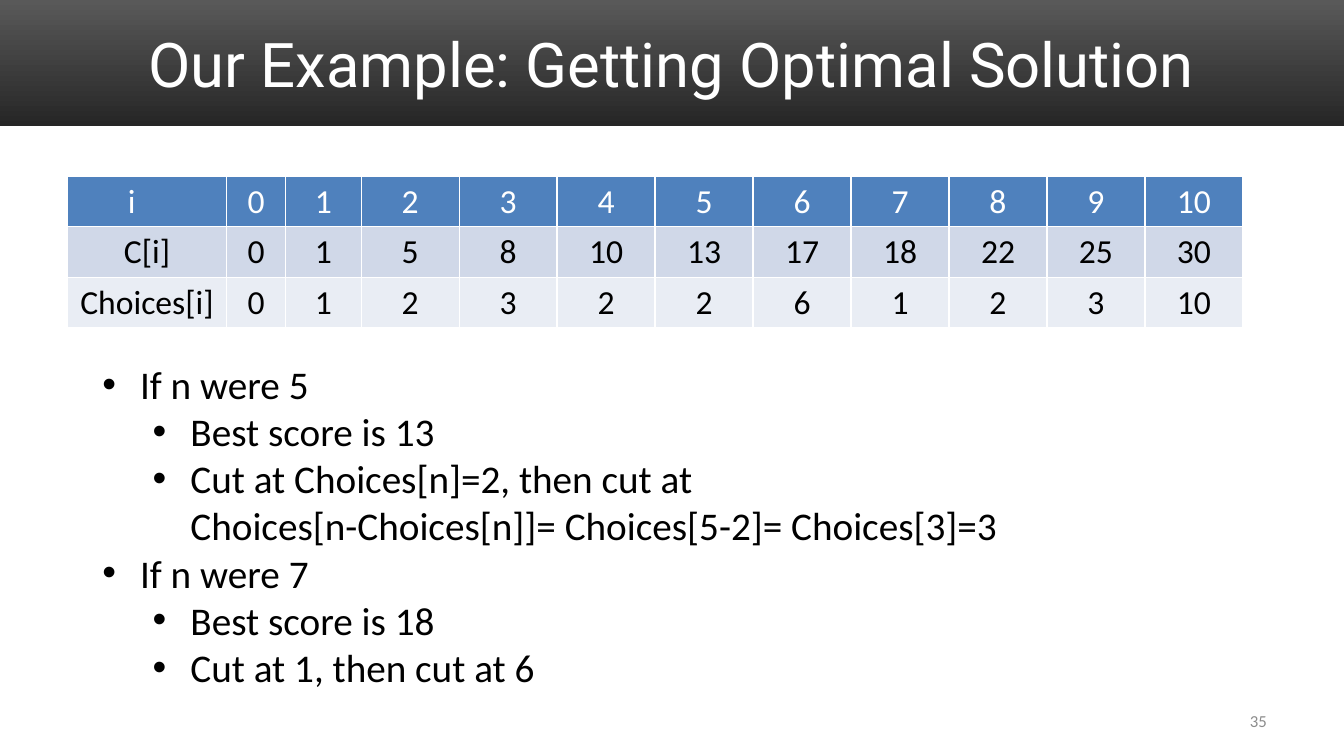
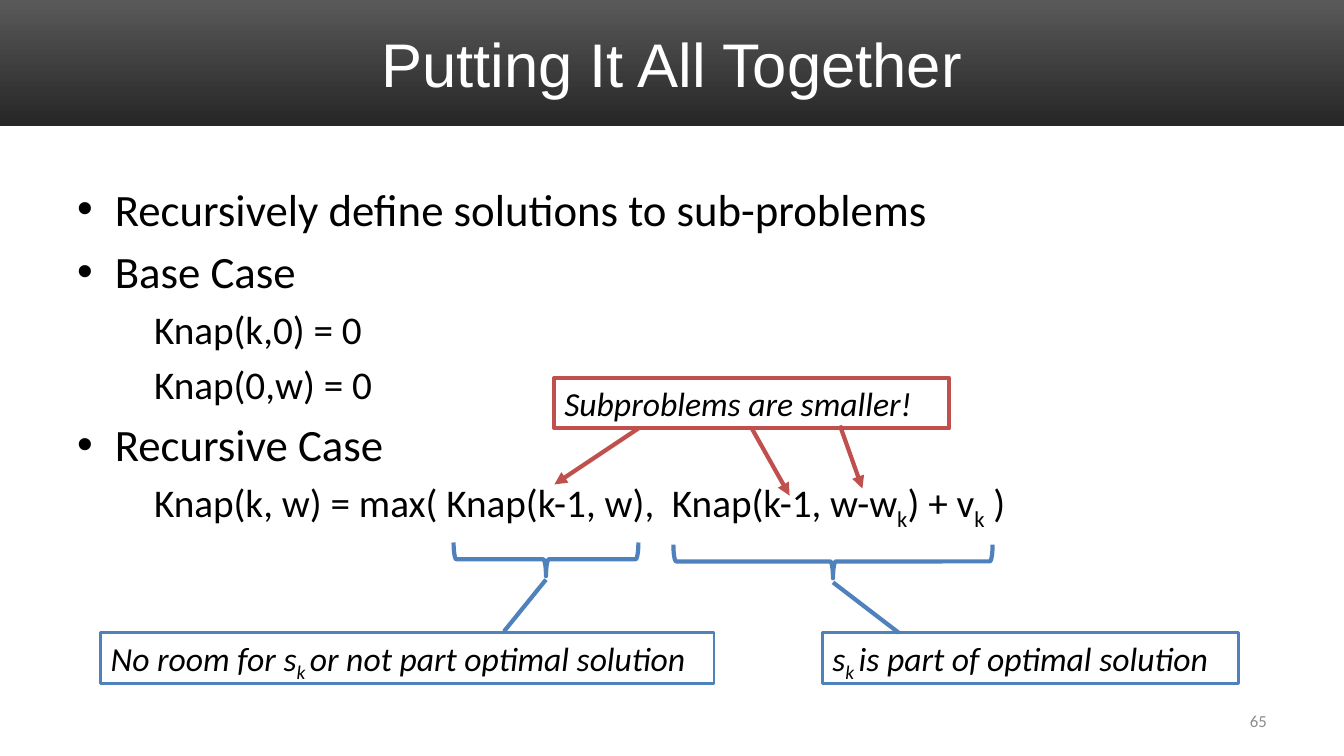
"""Build two lecture slides on dynamic programming."""
from dataclasses import dataclass

from lxml.etree import SubElement
from pptx import Presentation
from pptx.dml.color import RGBColor as Color
from pptx.enum.shapes import MSO_CONNECTOR as Connector, MSO_SHAPE as Shape
from pptx.enum.text import MSO_ANCHOR as Anchor, PP_ALIGN as Align
from pptx.oxml.ns import qn
from pptx.util import Pt


@dataclass(frozen=True)
class Level:
    size: float
    left: float
    hanging: float = 0
    gap: float = 0


@dataclass(frozen=True)
class Theme:
    font: str = "Calibri"
    bullet_font: str = "Arial"
    title_size: float = 44
    label_size: float = 24
    number_size: float = 12
    black: str = "000000"
    white: str = "FFFFFF"
    grey: str = "8C8C8C"
    blue: str = "4F81BD"
    red: str = "C0504D"
    band: tuple = ("595959", "262626")
    rows: tuple = ("4F81BD", "D0D8E8", "E9EDF4")
    outline: tuple = (Level(28, 27, 27), Level(28, 63, 27))
    body: tuple = (Level(32, 27, 27, 6.4), Level(28, 55, 0, 5.6))


def points(*lengths):
    return [Pt(length) for length in lengths]


class Slides:
    def __init__(self, theme):
        self.theme = theme
        self.deck = Presentation()
        self.deck.slide_width, self.deck.slide_height = points(960, 540)
        self.page = None

    def start(self, title, number, title_font):
        theme = self.theme
        self.page = self.deck.slides.add_slide(self.deck.slide_layouts[6])
        band = self.shape(Shape.RECTANGLE, (0, 0, 960, 90))
        band.fill.gradient()
        band.fill.gradient_angle = 270
        for stop, color in zip(band.fill.gradient_stops, theme.band):
            stop.color.rgb = Color.from_string(color)
        self.label(title, (48, 12, 864, 66), theme.title_size, theme.white, Align.CENTER, title_font)
        self.label(str(number), (688, 500, 224, 29), theme.number_size, theme.grey, Align.RIGHT)

    def shape(self, kind, place, line=None, width=0):
        shape = self.page.shapes.add_shape(kind, *points(*place))
        shape.shadow.inherit = False
        shape.fill.background()
        if line:
            self.stroke(shape.line, line, width)
        else:
            shape.line.fill.background()
        return shape

    def stroke(self, line, color, width):
        line.color.rgb = Color.from_string(color)
        line.width = Pt(width)

    def textbox(self, place):
        box = self.page.shapes.add_textbox(*points(*place))
        box.text_frame.word_wrap = True
        return box.text_frame

    def set_text(self, para, text, size, color, align=Align.LEFT, font=None, italic=False):
        first, *rest = text.split("~")
        para.text = first
        for index, piece in enumerate(rest):
            span = para.add_run()
            span.text = piece
            if index % 2 == 0:
                span._r.get_or_add_rPr().set("baseline", "-25000")
        para.alignment = align
        para.font.name = font or self.theme.font
        para.font.size = Pt(size)
        para.font.bold = False
        para.font.italic = italic
        para.font.color.rgb = Color.from_string(color)

    def label(self, text, place, size, color, align, font=None):
        frame = self.textbox(place)
        frame.vertical_anchor = Anchor.MIDDLE
        self.set_text(frame.paragraphs[0], text, size, color, align, font)

    def bullets(self, place, levels, items):
        frame = self.textbox(place)
        for index, (depth, text) in enumerate(items):
            para = frame.add_paragraph() if index else frame.paragraphs[0]
            level = levels[depth]
            para.level = depth
            if index:
                para.space_before = Pt(level.gap)
            props = para._p.get_or_add_pPr()
            props.set("marL", str(Pt(level.left)))
            props.set("indent", str(-Pt(level.hanging)))
            if level.hanging:
                SubElement(props, qn("a:buFont"), typeface=self.theme.bullet_font)
                SubElement(props, qn("a:buChar"), char="•")
            self.set_text(para, text, level.size, self.theme.black)

    def table(self, place, widths, rows):
        table = self.page.shapes.add_table(len(rows), len(widths), *points(*place)).table
        for column, width in zip(table.columns, widths):
            column.width = Pt(width)
        for r, (values, fill) in enumerate(zip(rows, self.theme.rows)):
            for c, value in enumerate(values):
                cell = table.cell(r, c)
                cell.fill.solid()
                cell.fill.fore_color.rgb = Color.from_string(fill)
                color = self.theme.black if r else self.theme.white
                self.set_text(cell.text_frame.paragraphs[0], str(value),
                              self.theme.label_size, color, Align.CENTER)
        return table

    def callout(self, text, place, color, width):
        frame = self.shape(Shape.RECTANGLE, place, color, width).text_frame
        frame.word_wrap = True
        frame.vertical_anchor = Anchor.TOP
        self.set_text(frame.paragraphs[0], text, self.theme.label_size, self.theme.black, italic=True)

    def brace(self, center_x, center_y, length, depth=24):
        place = (center_x - depth / 2, center_y - length / 2, depth, length)
        self.shape(Shape.LEFT_BRACE, place, self.theme.blue, 3).rotation = 270

    def connect(self, start, end, color, arrow=False):
        line = self.page.shapes.add_connector(Connector.STRAIGHT, *points(*start, *end))
        self.stroke(line.line, color, 3)
        props = line._element.spPr
        if arrow:
            SubElement(props.find(qn("a:ln")), qn("a:tailEnd"), type="triangle")
        SubElement(props, qn("a:effectLst"))


def solution_slide(slides):
    slides.start("Our Example: Getting Optimal Solution", 35, "Roboto")
    table = slides.table((48, 126, 840, 108), [114, 42, 54] + [70] * 9, [
        ["i", *range(11)],
        ["C[i]", 0, 1, 5, 8, 10, 13, 17, 18, 22, 25, 30],
        ["Choices[i]", 0, 1, 2, 3, 2, 2, 6, 1, 2, 3, 10],
    ])
    table.cell(0, 0).margin_right = Pt(29)
    slides.bullets((66, 254, 714, 245), slides.theme.outline, [
        (0, "If n were 5"),
        (1, "Best score is 13"),
        (1, "Cut at Choices[n]=2, then cut at\nChoices[n-Choices[n]]= Choices[5-2]= Choices[3]=3"),
        (0, "If n were 7"),
        (1, "Best score is 18"),
        (1, "Cut at 1, then cut at 6"),
    ])


def recursion_slide(slides):
    blue, red = slides.theme.blue, slides.theme.red
    slides.start("Putting It All Together", 65, "Arial")
    slides.bullets((48, 126, 864, 356), slides.theme.body, [
        (0, "Recursively define solutions to sub-problems"),
        (0, "Base Case"),
        (1, "Knap(k,0) = 0"),
        (1, "Knap(0,w) = 0"),
        (0, "Recursive Case"),
        (1, "Knap(k, w) = max( Knap(k-1, w),  Knap(k-1, w-w~k~) + v~k~ )"),
    ])
    slides.callout("Subproblems are smaller!", (396, 270, 282, 36), red, 3)
    slides.callout("s~k ~is part of optimal solution", (587.5, 452, 297, 36), blue, 2)
    slides.callout("No room for s~k ~or not part optimal solution", (72, 452, 438, 36), blue, 2)
    for start, end in [((456, 306), (396, 346)), ((537, 306), (564, 354)), ((600, 304), (616, 349))]:
        slides.connect(start, end, red, arrow=True)
    slides.brace(390, 399.5, 132)
    slides.brace(595, 401, 228)
    slides.connect((360, 451), (390, 414), blue)
    slides.connect((642, 452), (595, 416), blue)


def main():
    slides = Slides(Theme())
    solution_slide(slides)
    recursion_slide(slides)
    slides.deck.save("out.pptx")


if __name__ == "__main__":
    main()
